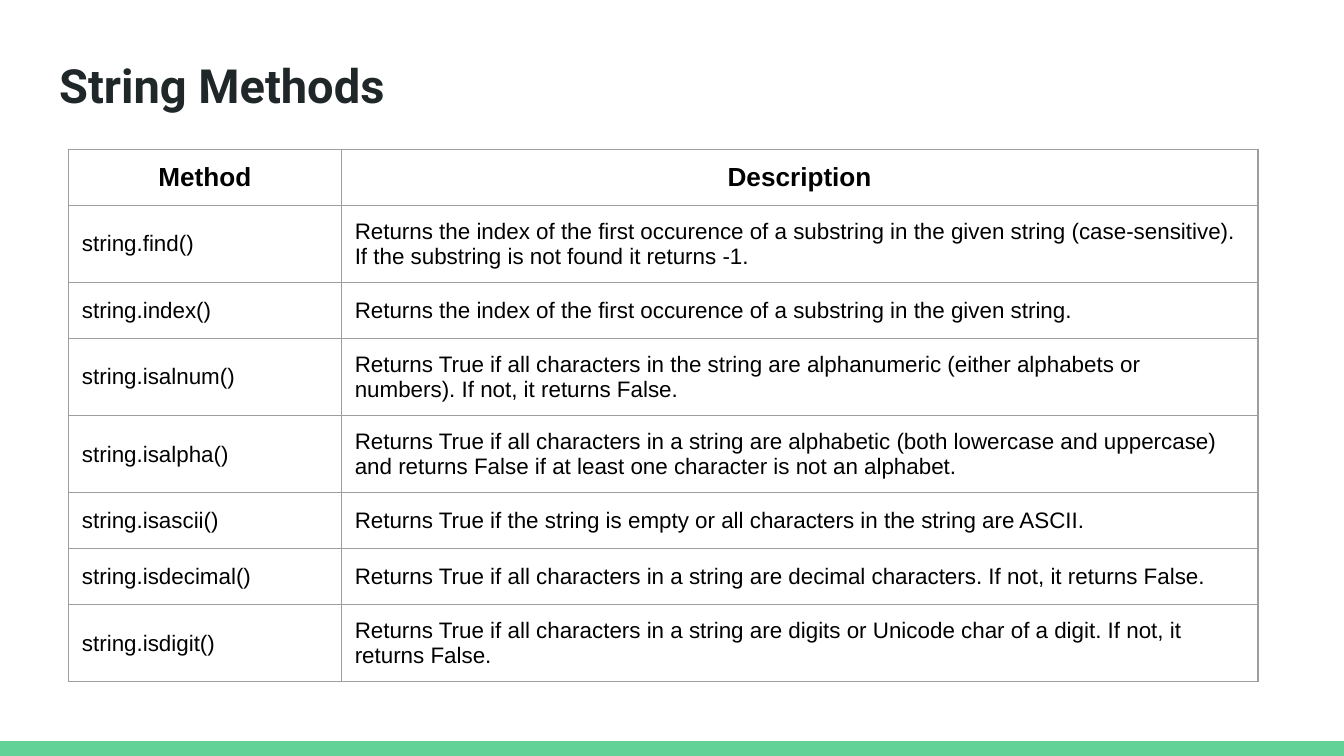
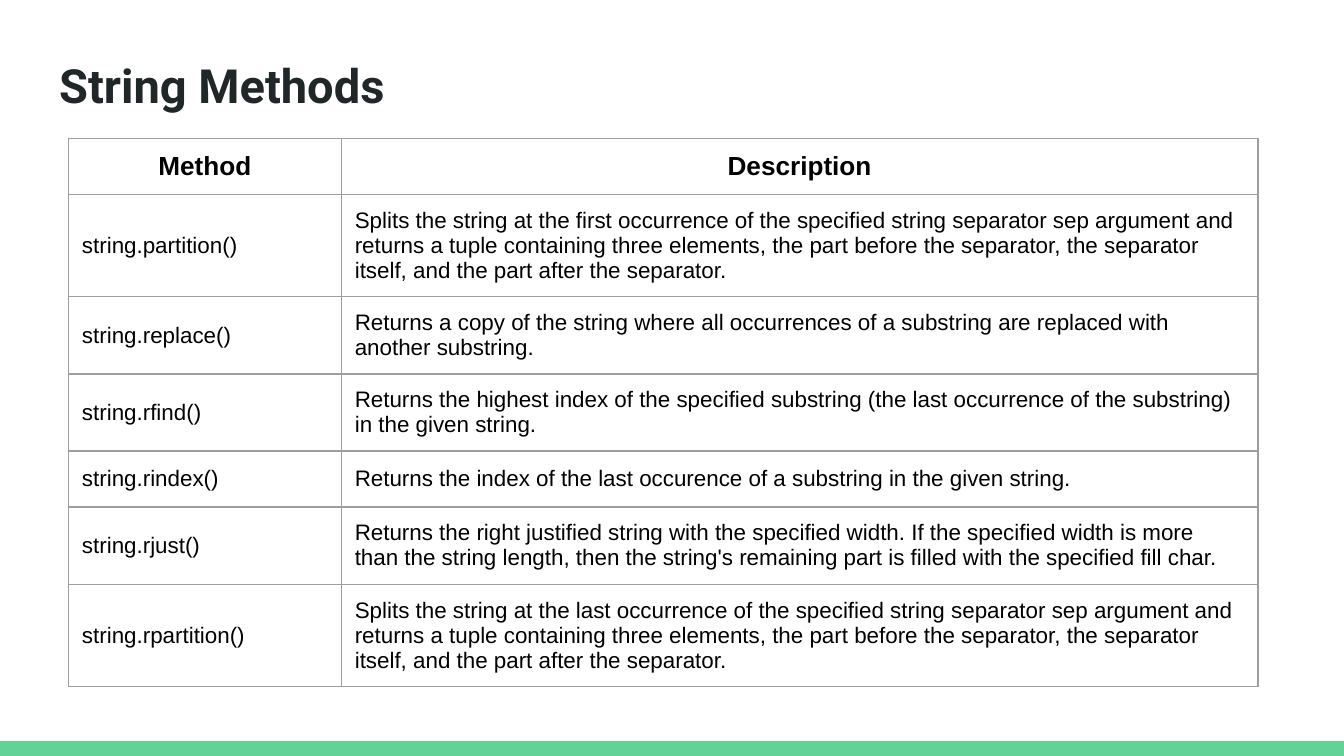
from lxml.etree import SubElement
from pptx import Presentation
from pptx.dml.color import RGBColor
from pptx.enum.shapes import MSO_SHAPE
from pptx.enum.text import MSO_ANCHOR, MSO_AUTO_SIZE, PP_ALIGN
from pptx.oxml.ns import qn
from pptx.util import Inches, Pt

PAGE_WIDTH = 10
PAGE_HEIGHT = PAGE_WIDTH * 9 / 16
BAND_HEIGHT = 0.11
BAND_COLOUR, BORDER_COLOUR = "63D297", "9E9E9E"
TITLE_BOX = (0.34, 0.32, 9.32, 0.63)
TABLE_LEFT = 0.51
COLUMN_WIDTHS = (2.03, 6.82)
ROW_HEIGHT = 5 / 12
INSET = 0.1
HEADINGS = ("Method", "Description")


def colour(code):
    return RGBColor.from_string(code)


TITLE_FONT = {"name": "Roboto", "size": Pt(25.2), "bold": True, "colour": "202729"}
HEADING_FONT = {"name": "Arial", "size": Pt(14), "bold": True, "colour": "000000"}
BODY_FONT = {**HEADING_FONT, "size": Pt(12), "bold": False}
MARGINS = {f"margin_{side}": Inches(INSET) for side in ("left", "top", "right", "bottom")}

SEARCH_AND_TEST = (
    ("string.find()", "Returns the index of the first occurence of a substring in the given string "
     "(case-sensitive). If the substring is not found it returns -1."),
    ("string.index()", "Returns the index of the first occurence of a substring in the given string."),
    ("string.isalnum()", "Returns True if all characters in the string are alphanumeric "
     "(either alphabets or numbers). If not, it returns False."),
    ("string.isalpha()", "Returns True if all characters in a string are alphabetic (both lowercase "
     "and uppercase) and returns False if at least one character is not an alphabet."),
    ("string.isascii()", "Returns True if the string is empty or all characters in the string are ASCII."),
    ("string.isdecimal()", "Returns True if all characters in a string are decimal characters. "
     "If not, it returns False."),
    ("string.isdigit()", "Returns True if all characters in a string are digits or Unicode char "
     "of a digit. If not, it returns False."),
)
PARTITION_TEXT = (
    "Splits the string at the {} occurrence of the specified string separator sep argument and "
    "returns a tuple containing three elements, the part before the separator, the separator "
    "itself, and the part after the separator."
)
SPLIT_AND_REPLACE = (
    ("string.partition()", PARTITION_TEXT.format("first")),
    ("string.replace()", "Returns a copy of the string where all occurrences of a substring are "
     "replaced with another substring."),
    ("string.rfind()", "Returns the highest index of the specified substring (the last occurrence "
     "of the substring) in the given string."),
    ("string.rindex()", "Returns the index of the last occurence of a substring in the given string."),
    ("string.rjust()", "Returns the right justified string with the specified width. If the specified "
     "width is more than the string length, then the string's remaining part is filled with the "
     "specified fill char."),
    ("string.rpartition()", PARTITION_TEXT.format("last")),
)


def set_attributes(target, values):
    for name, value in values.items():
        if name == "colour":
            target.color.rgb = colour(value)
        else:
            setattr(target, name, value)


def write_para(para, text, font, alignment):
    para.alignment = alignment
    span = para.add_run()
    span.text = text
    set_attributes(span.font, font)


def add_band(page, left, top, width, height):
    band = page.shapes.add_shape(
        MSO_SHAPE.RECTANGLE, *map(Inches, (left, top, width, height)))
    band.shadow.inherit = False
    band.fill.solid()
    band.fill.fore_color.rgb = colour(BAND_COLOUR)
    band.line.fill.background()


def place_title(page, text, box):
    title = page.shapes.title
    set_attributes(title, dict(zip(("left", "top", "width", "height"), map(Inches, box))))
    frame = title.text_frame
    set_attributes(frame, {**MARGINS, "word_wrap": True, "auto_size": MSO_AUTO_SIZE.NONE,
                           "vertical_anchor": MSO_ANCHOR.TOP})
    write_para(frame.paragraphs[0], text, TITLE_FONT, PP_ALIGN.LEFT)


def add_borders(cell):
    properties = cell._tc.get_or_add_tcPr()
    for edge in ("a:lnL", "a:lnR", "a:lnT", "a:lnB"):
        line = SubElement(properties, qn(edge), w=str(Pt(0.75)))
        fill = SubElement(line, qn("a:solidFill"))
        SubElement(fill, qn("a:srgbClr"), val=BORDER_COLOUR)


def add_method_table(page, methods, left, top):
    rows = (HEADINGS, *methods)
    frame = page.shapes.add_table(
        len(rows), len(HEADINGS), Inches(left), Inches(top),
        Inches(sum(COLUMN_WIDTHS)), Inches(ROW_HEIGHT * len(rows)))
    table = frame.table
    set_attributes(table, {"first_row": False, "horz_banding": False})
    for column, width in zip(table.columns, COLUMN_WIDTHS):
        column.width = Inches(width)
    for row_index, texts in enumerate(rows):
        table.rows[row_index].height = Inches(ROW_HEIGHT)
        is_heading = row_index == 0
        font = HEADING_FONT if is_heading else BODY_FONT
        alignment = PP_ALIGN.CENTER if is_heading else PP_ALIGN.LEFT
        anchor = MSO_ANCHOR.TOP if is_heading else MSO_ANCHOR.MIDDLE
        for column_index, text in enumerate(texts):
            cell = table.cell(row_index, column_index)
            set_attributes(cell, {**MARGINS, "vertical_anchor": anchor})
            add_borders(cell)
            cell.fill.background()
            write_para(cell.text_frame.paragraphs[0], text, font, alignment)


def add_method_page(deck, methods, table_top):
    page = deck.slides.add_slide(deck.slide_layouts[5])
    add_band(page, 0, PAGE_HEIGHT - BAND_HEIGHT, PAGE_WIDTH, BAND_HEIGHT)
    place_title(page, "String Methods", TITLE_BOX)
    add_method_table(page, methods, TABLE_LEFT, table_top)


def main():
    deck = Presentation()
    deck.slide_width = Inches(PAGE_WIDTH)
    deck.slide_height = Inches(PAGE_HEIGHT)
    add_method_page(deck, SEARCH_AND_TEST, 1.11)
    add_method_page(deck, SPLIT_AND_REPLACE, 1.03)
    deck.save("out.pptx")


if __name__ == "__main__":
    main()
